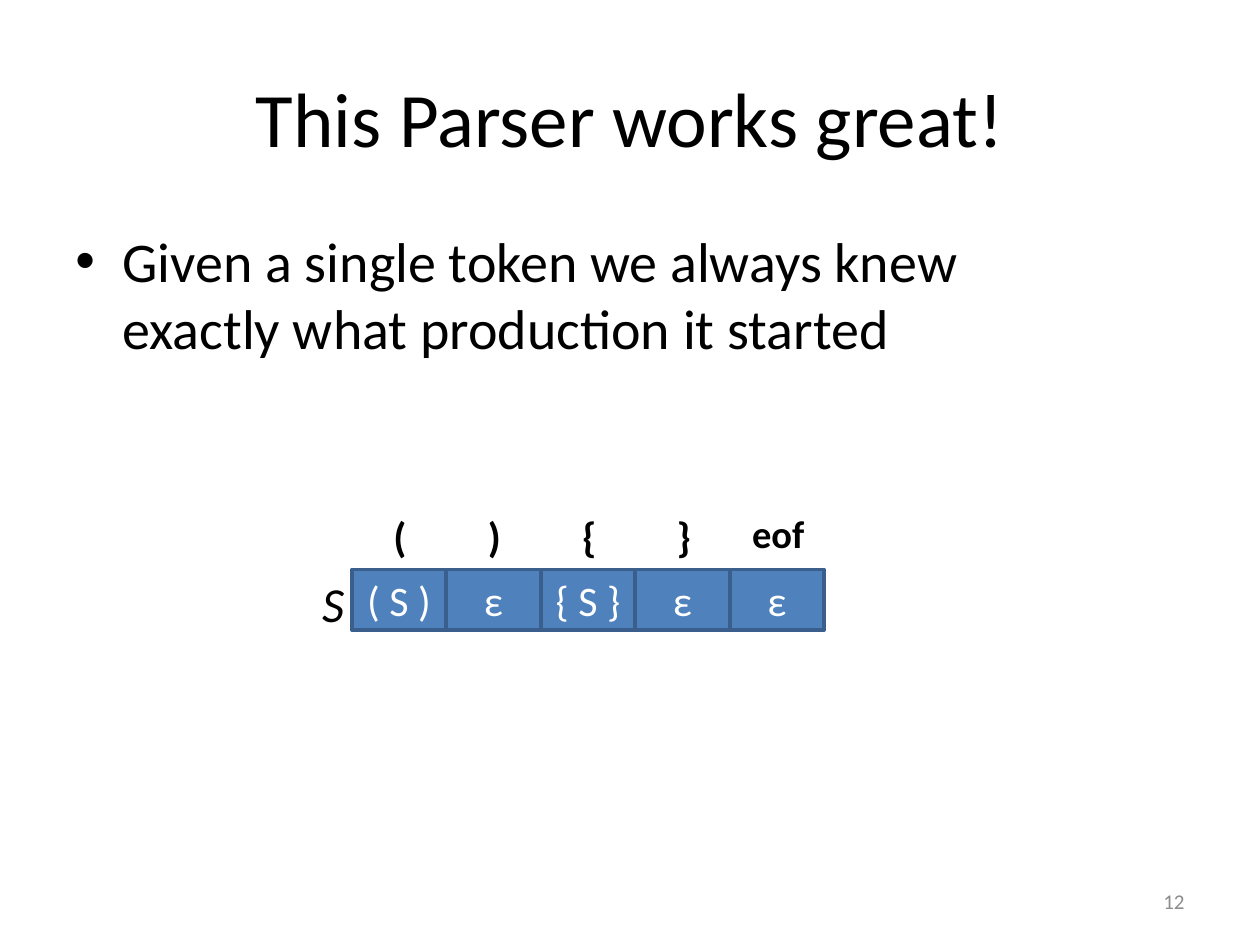
"""Build a slide showing the one-row selector table of a predictive parser."""
from lxml import etree
from pptx import Presentation
from pptx.dml.color import RGBColor
from pptx.enum.shapes import MSO_SHAPE
from pptx.enum.text import MSO_ANCHOR, PP_ALIGN
from pptx.oxml.ns import qn
from pptx.util import Pt

RECTANGLE = MSO_SHAPE.RECTANGLE
TOP, MIDDLE = MSO_ANCHOR.TOP, MSO_ANCHOR.MIDDLE
LEFT, CENTER, RIGHT = PP_ALIGN.LEFT, PP_ALIGN.CENTER, PP_ALIGN.RIGHT

FONT = "Calibri"
COLORS = {
    "text": "000000",
    "number": "8C8C8C",
    "cell": "4F81BD",
    "border": "3A5F8C",
    "cell_text": "FFFFFF",
}

TABLE_LEFT, TABLE_TOP = 201, 325.5
CELL_WIDTH, CELL_HEIGHT = 54, 34.5
HEADER_TOP, HEADER_HEIGHT = 288, 36
HEADER_SHIFT = 1
SELECTOR = [
    ("(", 24, 22.5, "( S )"),
    (")", 24, 22.5, "ε"),
    ("{", 24, 23, "{ S }"),
    ("}", 24, 23, "ε"),
    ("eof", 22, 44.5, "ε"),
]


def color(name):
    return RGBColor.from_string(COLORS[name])


def write(shape, text, size, fill="text", align=LEFT, anchor=TOP,
          bold=False, italic=False, wrap=True):
    """Put formatted text in a shape and return its paragraph."""
    frame = shape.text_frame
    frame.word_wrap = wrap
    frame.vertical_anchor = anchor
    paragraph = frame.paragraphs[0]
    paragraph.alignment = align
    run = paragraph.add_run()
    run.text = text
    run.font.name = FONT
    run.font.size = Pt(size)
    run.font.bold = bold
    run.font.italic = italic
    run.font.color.rgb = color(fill)
    return paragraph


def add_text(shapes, left, top, width, height, text, size, **style):
    box = shapes.add_textbox(Pt(left), Pt(top), Pt(width), Pt(height))
    return write(box, text, size, **style)


def add_bullet(paragraph, indent):
    """Give a paragraph a hanging bullet."""
    properties = paragraph._p.get_or_add_pPr()
    properties.set("marL", str(Pt(indent)))
    properties.set("indent", str(-Pt(indent)))
    etree.SubElement(properties, qn("a:buFont")).set("typeface", "Arial")
    etree.SubElement(properties, qn("a:buChar")).set("char", "•")


def add_cell(shapes, left, production):
    cell = shapes.add_shape(RECTANGLE, Pt(left), Pt(TABLE_TOP),
                            Pt(CELL_WIDTH), Pt(CELL_HEIGHT))
    cell.shadow.inherit = False
    cell.fill.solid()
    cell.fill.fore_color.rgb = color("cell")
    cell.line.color.rgb = color("border")
    cell.line.width = Pt(2)
    write(cell, production, 24, fill="cell_text", align=CENTER, anchor=MIDDLE)


def add_selector_table(slide):
    """Draw the productions in a row, with token headers and the row label."""
    shapes = slide.shapes.add_group_shape().shapes
    lefts = [TABLE_LEFT + i * CELL_WIDTH for i in range(len(SELECTOR))]
    for left, (_, _, _, production) in zip(lefts, SELECTOR):
        add_cell(shapes, left, production)
    add_text(shapes, 177, 324, 22.5, 22.5, "S", 28, italic=True, wrap=False)
    for left, (token, size, width, _) in zip(lefts, SELECTOR):
        header_left = left + (CELL_WIDTH - width) / 2 + HEADER_SHIFT
        add_text(shapes, header_left, HEADER_TOP, width, HEADER_HEIGHT,
                 token, size, bold=True, wrap=False)


def add_title(slide, text):
    title = slide.shapes.title
    title.left, title.top = Pt(36), Pt(21.6)
    title.width, title.height = Pt(648), Pt(90)
    write(title, text, 44, align=CENTER, anchor=MIDDLE)


def main():
    deck = Presentation()
    deck.slide_width, deck.slide_height = Pt(720), Pt(540)
    slide = deck.slides.add_slide(deck.slide_layouts[5])

    add_title(slide, "This Parser works great!")
    claim = add_text(
        slide.shapes, 36, 126, 576, 356.4,
        "Given a single token we always knew exactly what production it started",
        32)
    claim.space_before = Pt(6.4)
    add_bullet(claim, 27)
    add_text(slide.shapes, 516, 500.5, 168, 28.75, "12", 12,
             fill="number", align=RIGHT, anchor=MIDDLE)
    add_selector_table(slide)

    deck.save("out.pptx")


if __name__ == "__main__":
    main()
